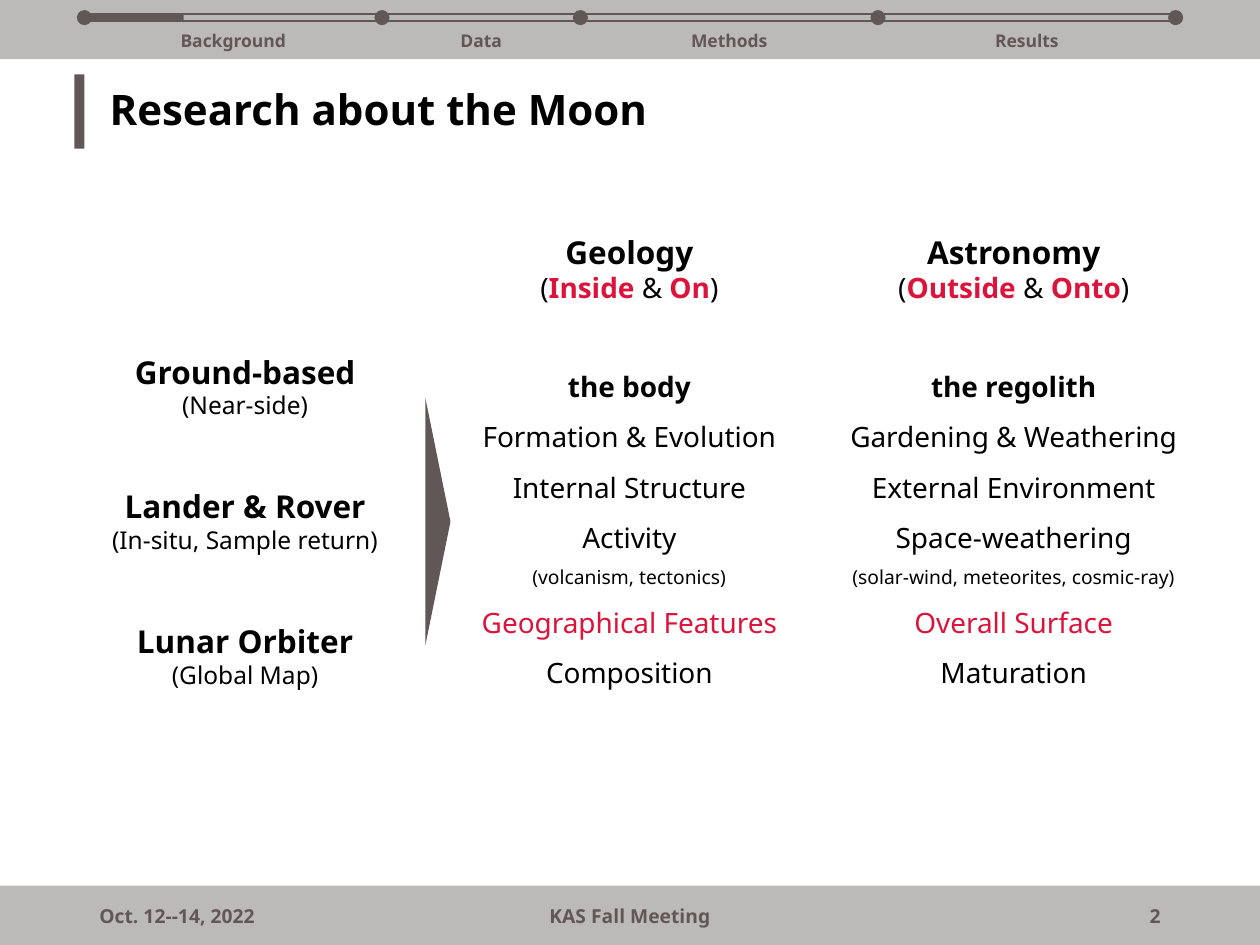
from copy import deepcopy
from dataclasses import dataclass
from itertools import accumulate, pairwise

from pptx import Presentation
from pptx.dml.color import RGBColor
from pptx.enum.shapes import MSO_SHAPE
from pptx.enum.text import MSO_ANCHOR, MSO_AUTO_SIZE, PP_ALIGN
from pptx.oxml.ns import qn
from pptx.util import Inches, Pt


@dataclass(frozen=True)
class Theme:
    font: str = "Noto Sans"
    ink: str = "000000"
    band: str = "BCBAB8"
    accent: str = "625757"
    highlight: str = "DC143C"
    title: int = 24
    heading: int = 18
    body: int = 16
    detail: int = 14
    note: int = 11
    tab: int = 10


class SlideBuilder:
    """Draws on one slide, on a grid of 100 columns by 75 rows."""

    def __init__(self, presentation, theme):
        self.theme = theme
        self.unit_x = presentation.slide_width / 100
        self.unit_y = presentation.slide_height / 75
        self.slide = presentation.slides.add_slide(presentation.slide_layouts[5])

    def place(self, column, row, columns, rows):
        return (round(column * self.unit_x), round(row * self.unit_y),
                round(columns * self.unit_x), round(rows * self.unit_y))

    def shape(self, kind, area, fill=None, line=None, rotation=0):
        shape = self.slide.shapes.add_shape(kind, *self.place(*area))
        shape.shadow.inherit = False
        shape.rotation = rotation
        if fill:
            shape.fill.solid()
            shape.fill.fore_color.rgb = RGBColor.from_string(fill)
        else:
            shape.fill.background()
        if line:
            shape.line.color.rgb = RGBColor.from_string(line)
            shape.line.width = Pt(1)
        else:
            shape.line.fill.background()

    def run(self, paragraph, text, size, color=None, bold=False):
        run = paragraph.add_run()
        run.text = text
        run.font.name = self.theme.font
        run.font.size = Pt(size)
        run.font.bold = bold
        run.font.color.rgb = RGBColor.from_string(color or self.theme.ink)
        return run

    def fill_text(self, frame, paragraphs, align, spacing=None):
        for index, runs in enumerate(paragraphs):
            paragraph = frame.add_paragraph() if index else frame.paragraphs[0]
            paragraph.alignment = align
            if spacing:
                paragraph.line_spacing = spacing
            previous = None
            for text, *style in runs:
                if text.startswith("\n"):
                    paragraph.add_line_break()
                    line_break = paragraph._p.findall(qn("a:br"))[-1]
                    line_break.append(deepcopy(previous._r.rPr))
                previous = self.run(paragraph, text.lstrip("\n"), *style)

    def text(self, area, paragraphs, align=PP_ALIGN.CENTER, spacing=None,
             anchor=MSO_ANCHOR.TOP, inset=None):
        frame = self.slide.shapes.add_textbox(*self.place(*area)).text_frame
        frame.word_wrap = True
        frame.vertical_anchor = anchor
        if anchor == MSO_ANCHOR.TOP:
            frame.auto_size = MSO_AUTO_SIZE.SHAPE_TO_FIT_TEXT
        if inset is not None:
            frame.margin_left = frame.margin_right = inset
            frame.margin_top = frame.margin_bottom = inset
        self.fill_text(frame, paragraphs, align, spacing)

    def title(self, area, text):
        title = self.slide.shapes.title
        title.left, title.top, title.width, title.height = self.place(*area)
        frame = title.text_frame
        frame.auto_size = MSO_AUTO_SIZE.NONE
        frame.word_wrap = True
        frame.vertical_anchor = MSO_ANCHOR.MIDDLE
        frame.margin_left = frame.margin_right = Inches(0.2)
        frame.margin_top = frame.margin_bottom = 0
        self.fill_text(frame, [[(text, self.theme.title, None, True)]], PP_ALIGN.LEFT, 0.9)

    def progress(self, left, width, sections, done):
        theme = self.theme
        step = width / sum(sections.values())
        stops = [left + step * count for count in accumulate(sections.values(), initial=0)]
        for stop in stops:
            self.shape(MSO_SHAPE.OVAL, (stop - 0.6, 0.8, 1.2, 1.2), theme.accent)
        for label, (start, end) in zip(sections, pairwise(stops)):
            self.text(((start + end) / 2 - 9.85, 2.2, 19.7, 2),
                      [[(label, theme.tab, theme.accent, True)]],
                      anchor=MSO_ANCHOR.MIDDLE, inset=0)
        self.shape(MSO_SHAPE.RECTANGLE, (left, 1.1, width, 0.6), line=theme.accent)
        self.shape(MSO_SHAPE.RECTANGLE, (left, 1.1, step * done, 0.6), theme.accent)


def main():
    presentation = Presentation()
    presentation.slide_width, presentation.slide_height = Inches(10), Inches(7.5)
    theme = Theme()
    builder = SlideBuilder(presentation, theme)

    for row in (0, 70.3):
        builder.shape(MSO_SHAPE.RECTANGLE, (0, row, 100, 4.7), theme.band)
    builder.progress(6.7, 86.6, {"Background": 3, "Data": 2, "Methods": 3, "Results": 3}, 1)
    builder.shape(MSO_SHAPE.RECTANGLE, (5.9, 5.9, 0.8, 5.9), theme.accent)
    builder.title((6.7, 5.9, 86.6, 5.9), "Research about the Moon")

    footers = [
        (6.9, 22.5, "Oct. 12--14, 2022", PP_ALIGN.LEFT),
        (33.1, 33.8, "KAS Fall Meeting", PP_ALIGN.CENTER),
        (70.6, 22.5, "2", PP_ALIGN.RIGHT),
    ]
    for column, columns, text, align in footers:
        builder.text((column, 71.1, columns, 3.1),
                     [[(text, theme.note, theme.accent, True)]],
                     align, anchor=MSO_ANCHOR.MIDDLE)

    sources = [("Ground-based", "(Near-side)"),
               ("Lander & Rover", "(In-situ, Sample return)"),
               ("Lunar Orbiter", "(Global Map)")]
    for index, (name, detail) in enumerate(sources):
        builder.text((4.7, 27.5 + 10.7 * index, 29.5, 6.4),
                     [[(name, theme.heading, None, True)], [(detail, theme.detail)]])

    body, note = theme.body, theme.note
    fields = [
        ("Geology", ("Inside", " & ", "On"), [
            [("the body", body, None, True)],
            [("Formation & Evolution", body)],
            [("Internal Structure", body)],
            [("Activity", body), ("\n(volcanism, tectonics)", note)],
            [("Geographical Features", body, theme.highlight)],
            [("Composition", body)]]),
        ("Astronomy", ("Outside ", "& ", "Onto"), [
            [("the regolith", body, None, True)],
            [("Gardening & Weathering", body)],
            [("External Environment", body)],
            [("Space-weathering", body)],
            [("(solar-wind, meteorites, cosmic-ray)", note)],
            [("Overall Surface", body, theme.highlight)],
            [("Maturation", body)]]),
    ]
    for index, (name, (first, joiner, second), topics) in enumerate(fields):
        column = 35.2 + 30.5 * index
        builder.text((column, 18, 29.5, 6.7), [
            [(name, theme.heading, None, True)],
            [("(", body), (first, body, theme.highlight, True), (joiner, body),
             (second, body, theme.highlight, True), (")", body)]])
        builder.text((column, 27.5, 29.5, 27.7), topics, spacing=1.5)

    builder.shape(MSO_SHAPE.ISOSCELES_TRIANGLE, (24.9, 40.4, 19.7, 2), theme.accent, rotation=90)
    presentation.save("out.pptx")


if __name__ == "__main__":
    main()
